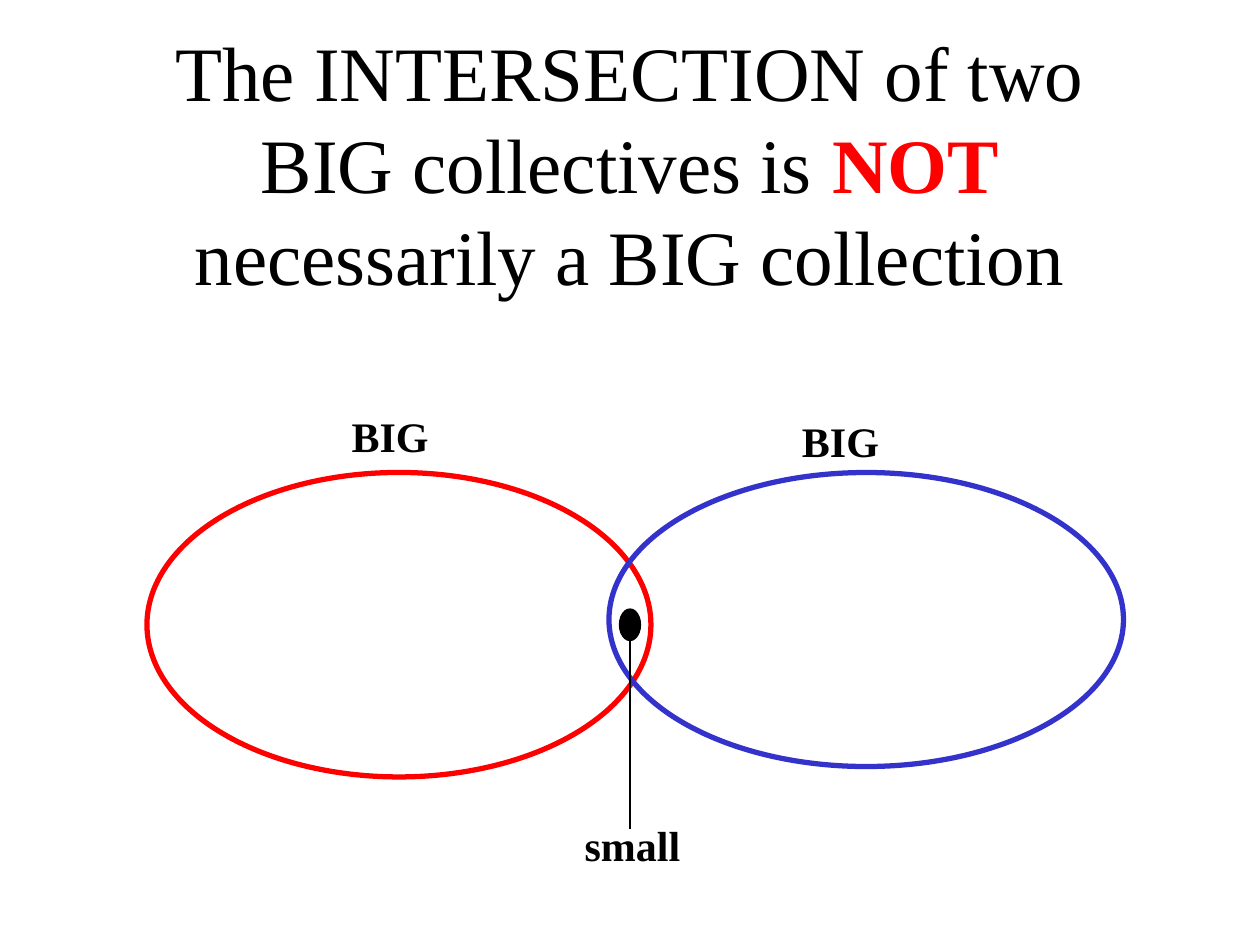
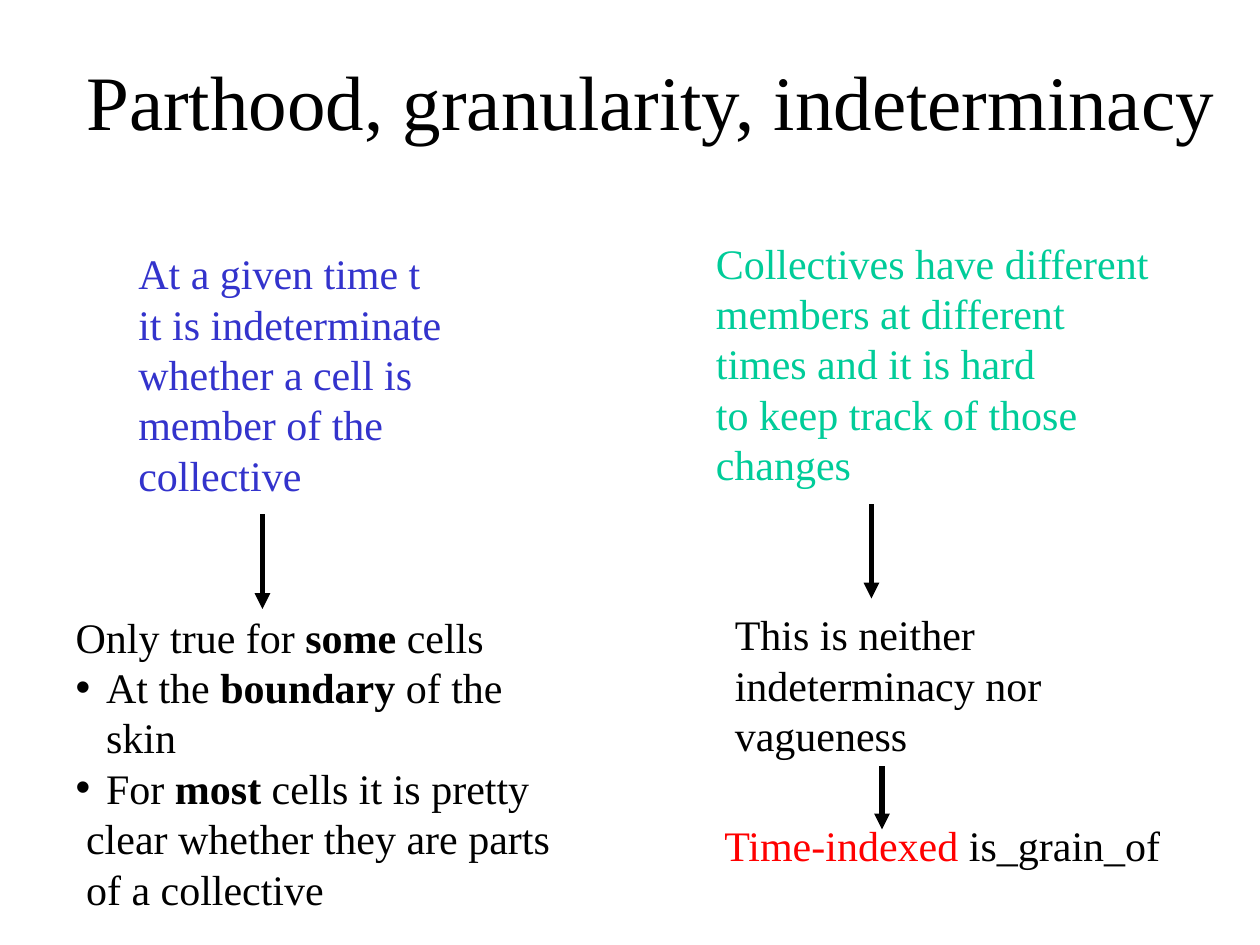
"""Builds two slides on collectives, their intersections and their members."""
from lxml.etree import SubElement
from pptx import Presentation
from pptx.dml.color import RGBColor
from pptx.enum.shapes import MSO_CONNECTOR as Connector, MSO_SHAPE as Shape
from pptx.enum.text import MSO_ANCHOR as Anchor, MSO_AUTO_SIZE as AutoSize, PP_ALIGN as Align
from pptx.oxml.ns import qn
from pptx.util import Emu, Pt

FONT = "Times New Roman"
BLACK, RED, BLUE, GREEN = "000000", "FF0000", "3333CC", "00CC99"
TITLE_ONLY, TITLE_AND_BODY = 5, 1
PX_PER_INCH = 120
TITLE_SIZE, TEXT_SIZE, LEADING = 44, 24, 1.2
LINE_HEIGHT, HANG, NUDGE = 48, 29, 10

INTERSECTION_TITLE = [["The INTERSECTION of two BIG collectives is ", ("NOT", RED, True),
                       " necessarily a BIG collection"]]
COLLECTIVES = [((140, 450, 480, 290), RED), ((580, 450, 490, 280), BLUE)]
OVERLAP = (590, 580, 20, 30)
OVERLAP_LEADER = (600, 610, 790)
SIZE_LABELS = [("BIG", 323, 385, 97), ("BIG", 752, 390, 97), ("small", 545, 775, 115)]

PARTHOOD_TITLE = [["Parthood, granularity, indeterminacy"]]
STATEMENTS = [
    ((120, 230, 312), BLUE,
     [["At a given time t"], ["it is indeterminate"], ["whether a cell is"],
      ["member of the"], ["collective"]]),
    ((670, 220, 437), GREEN,
     [["Collectives have different"], ["members at different"], ["times and it is hard"],
      ["to keep track of those"], ["changes"]]),
    ((688, 574, 315), BLACK,
     [["This is neither"], ["indeterminacy nor"], ["vagueness"]]),
    ((678, 775, 440), BLACK, [[("Time-indexed ", RED, False), "is_grain_of"]]),
]
CELLS = [
    ["Only true for ", ("some", BLACK, True), " cells"],
    ["At the ", ("boundary", BLACK, True), " of the skin"],
    ["For ", ("most", BLACK, True), " cells it is pretty"],
    ["clear whether they are parts"],
    ["of a collective"],
]
CELLS_LAYOUT = ["plain", "bullet", "bullet", "nudged", "nudged"]
CELLS_BOX = (60, 576, 492, 252)
ARROWS = [(250, 490, 580), (830, 480, 570), (840, 730, 790)]


def px(*lengths):
    """Turn px lengths into EMU."""
    return [Emu(n * 914400 // PX_PER_INCH) for n in lengths]


def colour(value):
    """Turn a hex string into a colour."""
    return RGBColor.from_string(value)


def set_indent(paragraph, layout):
    """Give a paragraph its bullet and indent."""
    margin, indent = {"plain": (0, 0), "bullet": (HANG, -HANG), "nudged": (NUDGE, 0)}[layout]
    properties = paragraph._p.get_or_add_pPr()
    properties.set("marL", str(px(margin)[0]))
    properties.set("indent", str(px(indent)[0]))
    if layout == "bullet":
        SubElement(properties, qn("a:buChar")).set("char", "•")
    else:
        SubElement(properties, qn("a:buNone"))


def write(frame, paragraphs, size=TEXT_SIZE, ink=BLACK, bold=False, align=Align.LEFT,
          anchor=Anchor.TOP, wrap=False, layouts=None):
    """Fill a text frame; each paragraph is a list of plain or (text, ink, bold) parts."""
    frame.word_wrap = wrap
    frame.auto_size = AutoSize.NONE
    frame.vertical_anchor = anchor
    for number, parts in enumerate(paragraphs):
        paragraph = frame.add_paragraph() if number else frame.paragraphs[0]
        set_indent(paragraph, layouts[number] if layouts else "plain")
        paragraph.alignment = align
        paragraph.space_before = Pt(0)
        paragraph.line_spacing = Pt(round(size * LEADING, 1))
        for part in parts:
            words, part_ink, part_bold = (part, ink, bold) if isinstance(part, str) else part
            run = paragraph.add_run()
            run.text = words
            run.font.name = FONT
            run.font.size = Pt(size)
            run.font.bold = part_bold
            run.font.color.rgb = colour(part_ink)


def place(placeholder, box):
    """Move a placeholder to a px box."""
    placeholder.left, placeholder.top, placeholder.width, placeholder.height = px(*box)


def add_slide(deck, layout, title, title_box):
    """Add a slide with a centred title."""
    slide = deck.slides.add_slide(deck.slide_layouts[layout])
    place(slide.shapes.title, title_box)
    write(slide.shapes.title.text_frame, title, size=TITLE_SIZE, align=Align.CENTER,
          anchor=Anchor.MIDDLE, wrap=True)
    return slide


def add_text(slide, left, top, width, paragraphs, **style):
    """Add a text box as tall as its lines."""
    height = 12 + LINE_HEIGHT * len(paragraphs)
    write(slide.shapes.add_textbox(*px(left, top, width, height)).text_frame, paragraphs, **style)


def add_ellipse(slide, box, ink, weight, fill=None):
    """Add an outlined ellipse, filled on request."""
    ellipse = slide.shapes.add_shape(Shape.OVAL, *px(*box))
    ellipse.shadow.inherit = False
    ellipse.line.color.rgb = colour(ink)
    ellipse.line.width = Pt(weight)
    if fill:
        ellipse.fill.solid()
        ellipse.fill.fore_color.rgb = colour(fill)
    else:
        ellipse.fill.background()


def add_drop(slide, x, top, bottom, weight, arrow=False):
    """Add a vertical line, with an arrowhead at the bottom on request."""
    drop = slide.shapes.add_connector(Connector.STRAIGHT, *px(x, top, x, bottom))
    drop.line.color.rgb = colour(BLACK)
    drop.line.width = Pt(weight)
    if arrow:
        SubElement(drop.line._get_or_add_ln(), qn("a:tailEnd")).set("type", "triangle")
    SubElement(drop._element.spPr, qn("a:effectLst"))


def build_intersection(deck):
    """Draw two big collectives with a small overlap."""
    slide = add_slide(deck, TITLE_ONLY, INTERSECTION_TITLE, (90, 80, 1020, 150))
    for box, ink in COLLECTIVES:
        add_ellipse(slide, box, ink, 3)
    add_ellipse(slide, OVERLAP, BLACK, 0.75, fill=BLACK)
    add_drop(slide, *OVERLAP_LEADER, 0.75)
    for word, left, top, width in SIZE_LABELS:
        add_text(slide, left, top, width, [[word]], bold=True)


def build_parthood(deck):
    """Set out the two lines of argument, joined by arrows."""
    slide = add_slide(deck, TITLE_AND_BODY, PARTHOOD_TITLE, (40, 20, 1160, 150))
    cells = slide.placeholders[1]
    place(cells, CELLS_BOX)
    write(cells.text_frame, CELLS, wrap=True, layouts=CELLS_LAYOUT)
    for box, ink, lines in STATEMENTS:
        add_text(slide, *box, lines, ink=ink)
    for arrow in ARROWS:
        add_drop(slide, *arrow, 3, arrow=True)


def main():
    """Build and save the deck."""
    deck = Presentation()
    deck.slide_width, deck.slide_height = px(1200, 900)
    build_intersection(deck)
    build_parthood(deck)
    deck.save("out.pptx")


if __name__ == "__main__":
    main()
